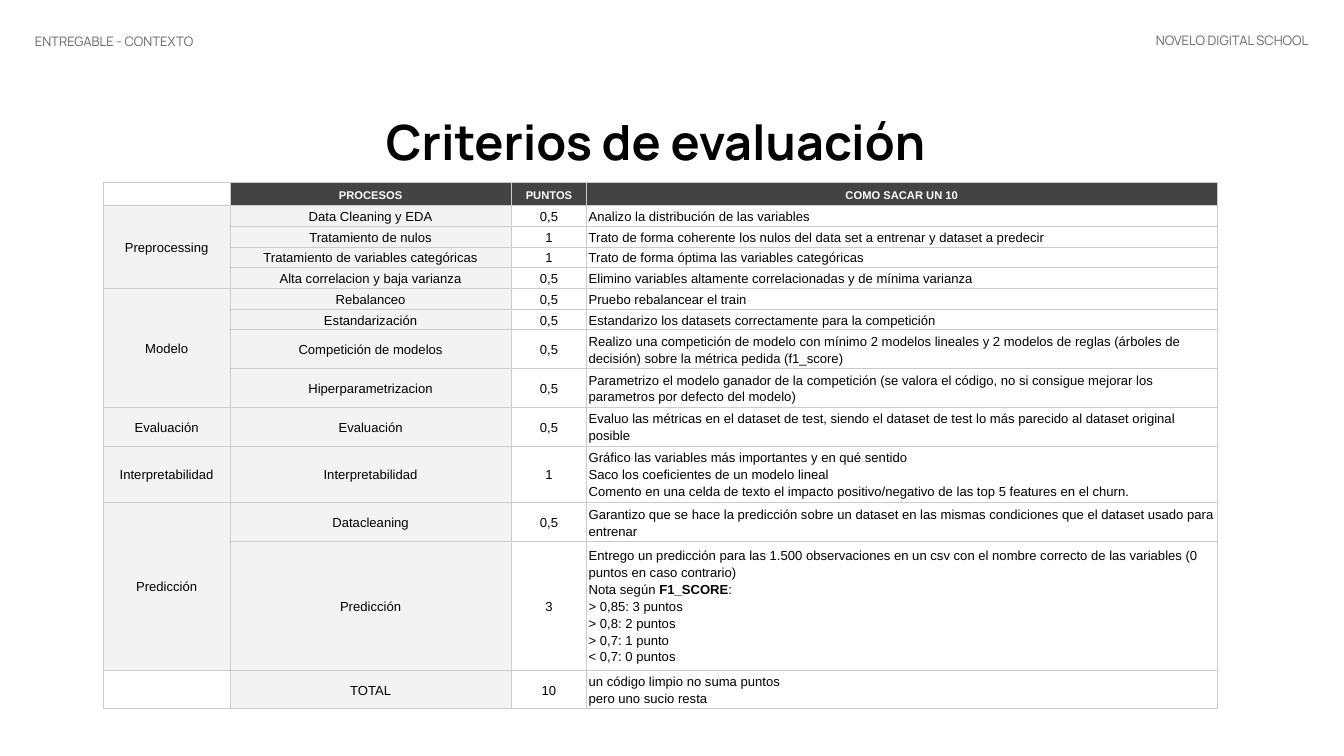
import pptx
import pptx.dml.color
import pptx.enum.text
import pptx.oxml
import pptx.util
from pptx.oxml.ns import qn

SLIDE_W, SLIDE_H = 20, 11.25
ALIGN = pptx.enum.text.PP_ALIGN
ANCHOR = pptx.enum.text.MSO_ANCHOR
WHITE, BLACK, GREY, DARK, PALE, RULE = (
    "FFFFFF", "000000", "676767", "434343", "F3F3F3", "CCCCCC")

# Relative sizes of the table's columns and rows
COLUMNS = [1.88, 4.19, 1.12, 9.38]
HEADER_ROW = 0.24
LINE_ROWS = {1: 0.27, 2: 0.51, 3: 0.74, 7: 1.68}

HEADINGS = ["PROCESOS", "PUNTOS", "COMO SACAR UN 10"]

# Phase, then (process, points, lines shown, paragraphs); **marks bold**
PHASES = [
    ("Preprocessing", [
        ("Data Cleaning y EDA", "0,5", 1, ["Analizo la distribución de las variables"]),
        ("Tratamiento de nulos", "1", 1, [
            "Trato de forma coherente los nulos del data set a entrenar y dataset a predecir"]),
        ("Tratamiento de variables categóricas", "1", 1, [
            "Trato de forma óptima las variables categóricas"]),
        ("Alta correlacion y baja varianza", "0,5", 1, [
            "Elimino variables altamente correlacionadas y de mínima varianza"]),
    ]),
    ("Modelo", [
        ("Rebalanceo", "0,5", 1, ["Pruebo rebalancear el train"]),
        ("Estandarización", "0,5", 1, [
            "Estandarizo los datasets correctamente para la competición"]),
        ("Competición de modelos", "0,5", 2, [
            "Realizo una competición de modelo con mínimo 2 modelos lineales y 2 modelos "
            "de reglas (árboles de decisión) sobre la métrica pedida (f1_score)"]),
        ("Hiperparametrizacion", "0,5", 2, [
            "Parametrizo el modelo ganador de la competición (se valora el código, no si "
            "consigue mejorar los parametros por defecto del modelo)"]),
    ]),
    ("Evaluación", [
        ("Evaluación", "0,5", 2, [
            "Evaluo las métricas en el dataset de test, siendo el dataset de test lo más "
            "parecido al dataset original posible"]),
    ]),
    ("Interpretabilidad", [
        ("Interpretabilidad", "1", 3, [
            "Gráfico las variables más importantes y en qué sentido",
            "Saco los coeficientes de un modelo lineal",
            "Comento en una celda de texto el impacto positivo/negativo de las top 5 "
            "features en el churn."]),
    ]),
    ("Predicción", [
        ("Datacleaning", "0,5", 2, [
            "Garantizo que se hace la predicción sobre un dataset en las mismas condiciones "
            "que el dataset usado para entrenar"]),
        ("Predicción", "3", 7, [
            "Entrego un predicción para las 1.500 observaciones en un csv con el nombre "
            "correcto de las variables (0 puntos en caso contrario)",
            "Nota según **F1_SCORE**:",
            "> 0,85: 3 puntos",
            "> 0,8: 2 puntos",
            "> 0,7: 1 punto",
            "< 0,7: 0 puntos"]),
    ]),
    ("", [
        ("TOTAL", "10", 2, ["un código limpio no suma puntos", "pero uno sucio resta"]),
    ]),
]


def color(hex_code):
    return pptx.dml.color.RGBColor.from_string(hex_code)


def place(left, top, width, height):
    """Turn percentages of the slide into lengths."""
    return [pptx.util.Inches(share * side / 100) for share, side in
            ((left, SLIDE_W), (top, SLIDE_H), (width, SLIDE_W), (height, SLIDE_H))]


def add_run(paragraph, text, size, font, ink, bold=False):
    run = paragraph.add_run()
    run.text = text
    run.font.size = pptx.util.Pt(size)
    run.font.name = font
    run.font.bold = bold
    run.font.color.rgb = color(ink)


def add_label(slide, box, text, size, ink, align, bold=False):
    frame = slide.shapes.add_textbox(*place(*box)).text_frame
    frame.word_wrap = True
    frame.auto_size = pptx.enum.text.MSO_AUTO_SIZE.SHAPE_TO_FIT_TEXT
    frame.margin_left = frame.margin_right = pptx.util.Inches(0.1)
    frame.margin_top = frame.margin_bottom = pptx.util.Inches(0.1)
    frame.paragraphs[0].alignment = align
    add_run(frame.paragraphs[0], text, size, "Manrope", ink, bold)


def style_cell(cell, fill):
    cell.margin_left = cell.margin_right = pptx.util.Inches(0.03)
    cell.margin_top = cell.margin_bottom = pptx.util.Inches(0.02)
    cell.vertical_anchor = ANCHOR.MIDDLE
    cell.fill.solid()
    cell.fill.fore_color.rgb = color(fill)
    # Borders go ahead of the fill in the cell's properties
    properties = cell._tc.get_or_add_tcPr()
    for position, side in enumerate(("a:lnL", "a:lnR", "a:lnT", "a:lnB")):
        line = pptx.oxml.parse_xml(
            f'<{side} xmlns:a="http://schemas.openxmlformats.org/drawingml/2006/main" '
            f'w="{pptx.util.Pt(0.83)}"><a:solidFill><a:srgbClr val="{RULE}"/>'
            f'</a:solidFill></{side}>')
        properties.insert(position, line)


def fill_cell(cell, paragraphs, fill, align=ALIGN.CENTER, size=14, ink=BLACK, bold=False):
    style_cell(cell, fill)
    for number, text in enumerate(paragraphs):
        frame = cell.text_frame
        paragraph = frame.paragraphs[0] if number == 0 else frame.add_paragraph()
        paragraph.alignment = align
        paragraph.line_spacing = 1.15
        for part, piece in enumerate(text.split("**")):
            if piece:
                add_run(paragraph, piece, size, "Arial", ink, bold or part % 2 == 1)


def add_criteria(slide, box):
    left, top, width, height = place(*box)
    row_sizes = [HEADER_ROW] + [LINE_ROWS[lines] for _, steps in PHASES
                                for _, _, lines, _ in steps]
    table = slide.shapes.add_table(
        len(row_sizes), len(COLUMNS), left, top, width, height).table
    table.first_row = table.horz_banding = False
    for column, size in zip(table.columns, COLUMNS):
        column.width = round(width * size / sum(COLUMNS))
    for row, size in zip(table.rows, row_sizes):
        row.height = round(height * size / sum(row_sizes))

    # Heading row
    fill_cell(table.cell(0, 0), [], WHITE)
    for column, heading in enumerate(HEADINGS, 1):
        fill_cell(table.cell(0, column), [heading], DARK, size=12, ink=WHITE, bold=True)

    # One merged phase cell beside its processes
    row = 1
    for phase, steps in PHASES:
        first, last = row, row + len(steps) - 1
        for process, points, _, advice in steps:
            phase_text = [phase] if phase and row == first else []
            fill_cell(table.cell(row, 0), phase_text, PALE if phase else WHITE)
            fill_cell(table.cell(row, 1), [process], PALE)
            fill_cell(table.cell(row, 2), [points], WHITE)
            fill_cell(table.cell(row, 3), advice, WHITE, ALIGN.LEFT)
            row += 1
        if last > first:
            table.cell(first, 0).merge(table.cell(last, 0))


def main():
    deck = pptx.Presentation()
    deck.slide_width = pptx.util.Inches(SLIDE_W)
    deck.slide_height = pptx.util.Inches(SLIDE_H)
    slide = deck.slides.add_slide(deck.slide_layouts[6])
    slide.background.fill.solid()
    slide.background.fill.fore_color.rgb = color(WHITE)

    # Running heads and title
    add_label(slide, (79.4, 3.38, 18.45, 3.91), "NOVELO DIGITAL SCHOOL", 14, GREY, ALIGN.RIGHT)
    add_label(slide, (16.3, 13.96, 64.95, 9.6), "Criterios de evaluación", 52, BLACK,
              ALIGN.CENTER, bold=True)
    add_label(slide, (2.1, 3.47, 28.55, 3.91), "ENTREGABLE - CONTEXTO", 14, GREY, ALIGN.LEFT)

    # Assessment table
    add_criteria(slide, (7.7, 24.18, 82.85, 60.71))
    deck.save("out.pptx")


if __name__ == "__main__":
    main()
